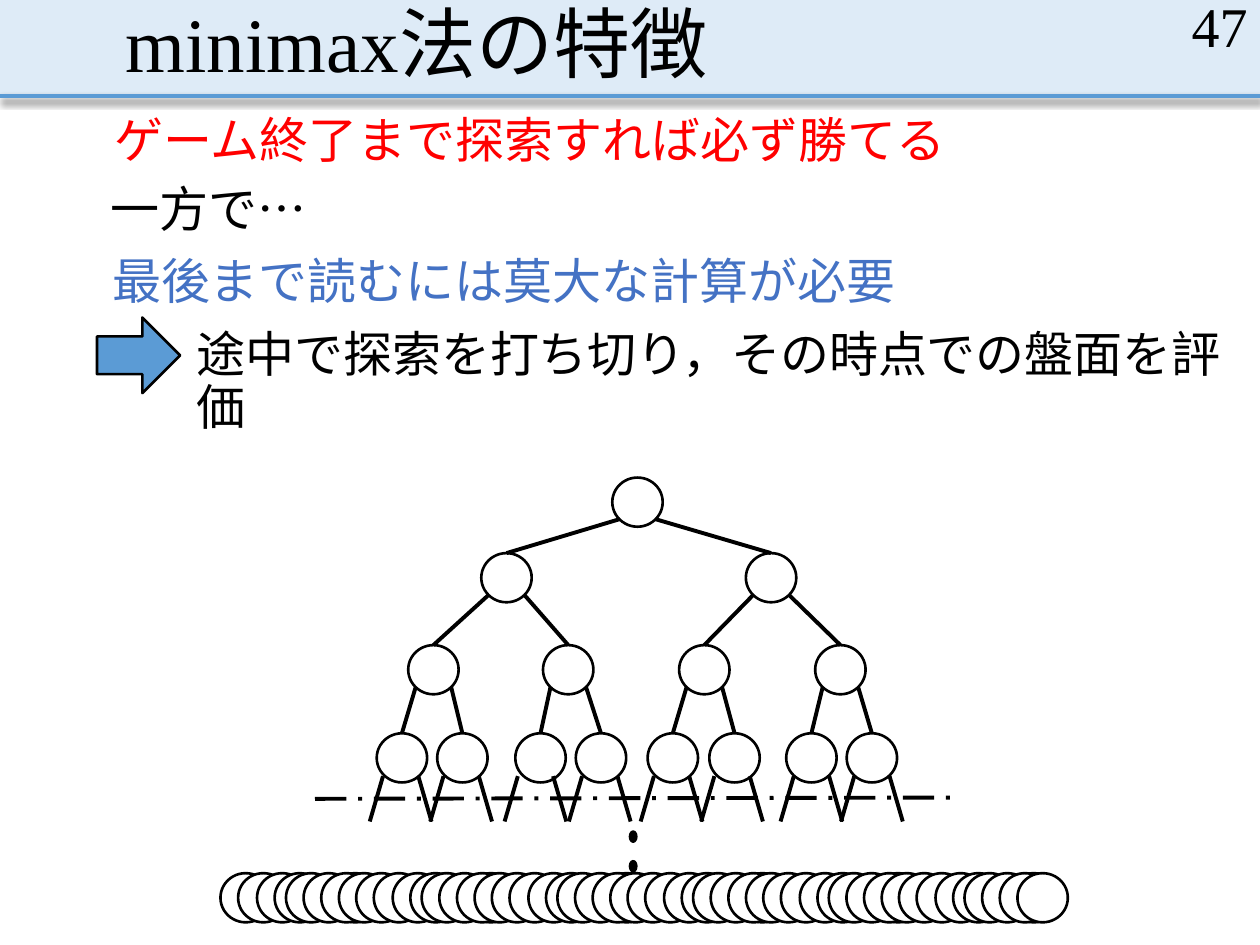
from lxml import etree
from pptx import Presentation
from pptx.dml.color import RGBColor
from pptx.enum.dml import MSO_LINE
from pptx.enum.shapes import MSO_CONNECTOR, MSO_SHAPE
from pptx.enum.text import MSO_ANCHOR, PP_ALIGN
from pptx.oxml.ns import qn
from pptx.util import Inches, Pt

RECT, OVAL, ARROW = MSO_SHAPE.RECTANGLE, MSO_SHAPE.OVAL, MSO_SHAPE.RIGHT_ARROW
STRAIGHT = MSO_CONNECTOR.STRAIGHT
DASH = MSO_LINE.LONG_DASH_DOT
TOP, MIDDLE, BOTTOM = MSO_ANCHOR.TOP, MSO_ANCHOR.MIDDLE, MSO_ANCHOR.BOTTOM
LEFT, RIGHT = PP_ALIGN.LEFT, PP_ALIGN.RIGHT

# Grid of 100 columns by 75 rows; all lengths below count its cells
COLS, ROWS = 100, 75
WIDE, HIGH = Inches(10), Inches(7.5)
FONT = "Times New Roman"
BLACK, WHITE, BLUE, PALE = "000000", "FFFFFF", "5B9BD5", "DEEBF7"
NODE_W, NODE_H = 4, 3.9
RIM_X, RIM_Y = 1.4, 3.3  # where an edge leaves a node


def color(code):
    return RGBColor.from_string(code)


def cell(x, y):
    return round(x * WIDE / COLS), round(y * HIGH / ROWS)


def add_form(slide, kind, x, y, w, h, fill, edge=BLACK):
    form = slide.shapes.add_shape(kind, *cell(x, y), *cell(w, h))
    form.shadow.inherit = False
    form.fill.solid()
    form.fill.fore_color.rgb = color(fill)
    if edge:
        form.line.color.rgb = color(edge)
        form.line.width = Pt(1.5)
    else:
        form.line.fill.background()
    return form


def add_line(slide, start, end, tint=BLACK, dash=None):
    line = slide.shapes.add_connector(STRAIGHT, *cell(*start), *cell(*end))
    line.line.color.rgb = color(tint)
    line.line.width = Pt(2.25)
    if dash:
        line.line.dash_style = dash
    # The empty effect list turns the theme shadow off
    return etree.SubElement(line._element.spPr, qn("a:effectLst"))


def add_text(slide, box, words, size, tint=BLACK, pad=0.0, anchor=TOP,
             align=LEFT, space=None):
    x, y, w, h = box
    frame = slide.shapes.add_textbox(*cell(x, y), *cell(w, h)).text_frame
    frame.word_wrap = True
    frame.vertical_anchor = anchor
    frame.margin_left = frame.margin_right = Inches(pad)
    frame.margin_top = frame.margin_bottom = Inches(0.05)
    para = frame.paragraphs[0]
    para.alignment = align
    if space:
        para.line_spacing = space
    run = para.add_run()
    run.text = words
    run.font.name = FONT
    run.font.size = Pt(size)
    run.font.color.rgb = color(tint)


def add_node(slide, x, y):
    add_form(slide, OVAL, x, y, NODE_W, NODE_H, WHITE)


def add_head(slide, x, y, w, h):
    """Title band with a shadowed rule below it."""
    add_form(slide, RECT, x, y, w, h, PALE, None)
    glow = add_line(slide, (x, y + h), (x + w, y + h), BLUE)
    shade = etree.SubElement(glow, qn("a:outerShdw"), blurRad=str(Pt(4)),
                             dist=str(Pt(2.5)), dir="5400000",
                             algn="t", rotWithShape="0")
    tone = etree.SubElement(shade, qn("a:srgbClr"), val=BLACK)
    etree.SubElement(tone, qn("a:alpha"), val="47000")
    add_text(slide, (x + 9, y, 82.5, h), "minimax法の特徴", 44,
             pad=0.1, anchor=BOTTOM, space=0.9)
    add_text(slide, (x + w - 22.5, y, 22.5, 4), "47", 32,
             pad=0.1, anchor=MIDDLE, align=RIGHT)


def add_points(slide, x, y):
    """Four statements, the last one led by a block arrow."""
    points = [
        (1.4, 0, 66.4, "ゲーム終了まで探索すれば必ず勝てる", "FF0000"),
        (1.1, 5.5, 62.6, "一方で…", BLACK),
        (1.2, 11.2, 62.6, "最後まで読むには莫大な計算が必要", "4472C4"),
        (7.9, 17, 84.4, "途中で探索を打ち切り，その時点での盤面を評価", BLACK),
    ]
    for dx, dy, w, words, tint in points:
        add_text(slide, (x + dx, y + dy, w, 5.5), words, 28, tint, space=0.9)
    add_form(slide, ARROW, x, y + 16.5, 6.6, 6, BLUE)


def add_tree(slide, x, y):
    """Binary game tree, cut by a dashed line below its leaves."""
    levels = [
        (0, [23.6]),
        (6, [13.2, 34.2]),
        (13.3, [7.4, 18.1, 28.9, 39.7]),
        (20.3, [4.9, 9.7, 15.9, 20.7, 26.4, 31.3, 37.4, 42.2]),
    ]
    add_line(slide, (x, y + 25.5), (x + 50.5, y + 25.4), dash=DASH)
    for dy, lefts in levels:
        for dx in lefts:
            add_node(slide, x + dx, y + dy)
    # Each node joins the two below it
    for (dy, lefts), (low, kids) in zip(levels, levels[1:]):
        for i, kid in enumerate(kids):
            side = RIM_X if i % 2 else -RIM_X
            mid = lefts[i // 2] + NODE_W / 2
            add_line(slide, (x + mid + side, y + dy + RIM_Y),
                     (x + kid + NODE_W / 2, y + low))
    # Open branches under the leaves
    for mid in (6.8, 11.6, 17.5, 22.6, 28.3, 33.1, 39.4, 44.2):
        for side in (-1, 1):
            add_line(slide, (x + mid + side * RIM_X, y + 23.7),
                     (x + mid + side * 2.45, y + 27.3))
    # Dots for the levels left out
    for i in range(3):
        add_form(slide, OVAL, x + 25, y + 28.1 + i * 2.35, 0.5, 0.8, BLACK)


def add_base(slide, x, y):
    """Deepest level: six bunches of nine overlapping nodes."""
    steps = (0, 1.4, 8.7, 2.9, 4.3, 5.2, 6.6, 8, 9.4)
    for bunch in range(6):
        for step in steps:
            add_node(slide, x + bunch * 10.77 + step, y)


def main():
    deck = Presentation()
    deck.slide_width, deck.slide_height = WIDE, HIGH
    slide = deck.slides.add_slide(deck.slide_layouts[6])
    add_head(slide, 0, 0, COLS, 7.6)
    add_points(slide, 7.7, 8.7)
    add_tree(slide, 25, 37.9)
    add_base(slide, 17.5, 69.3)
    deck.save("out.pptx")


if __name__ == "__main__":
    main()
